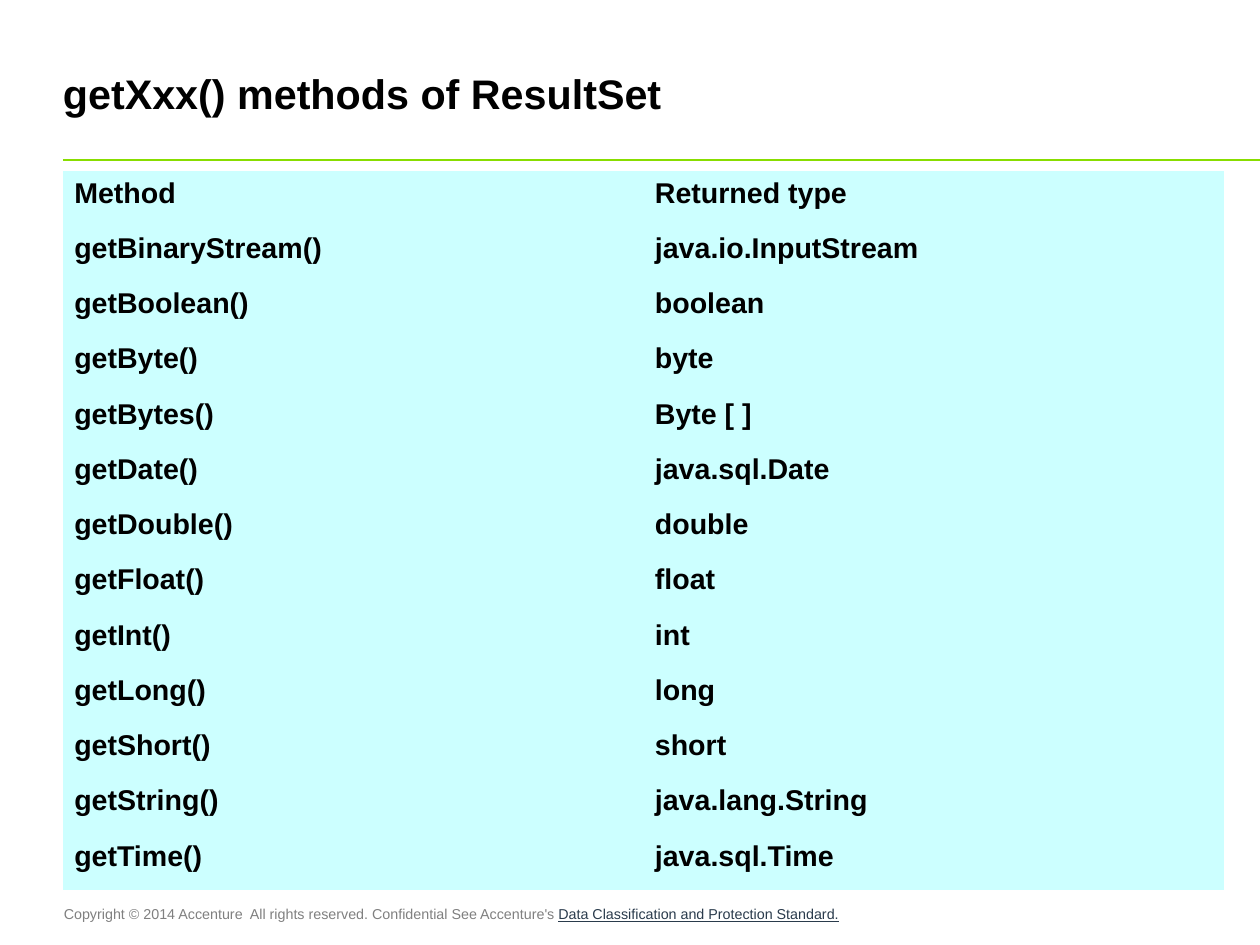
from lxml import etree
from pptx import Presentation
from pptx.dml.color import RGBColor
from pptx.enum.shapes import MSO_CONNECTOR
from pptx.enum.text import MSO_ANCHOR, PP_ALIGN
from pptx.oxml.ns import qn
from pptx.util import Cm, Inches, Pt

STRAIGHT = MSO_CONNECTOR.STRAIGHT
MIDDLE = MSO_ANCHOR.MIDDLE
LEFT = PP_ALIGN.LEFT
TITLE_ONLY = 5
FONT = "Arial"
NO_GRID_STYLE = "{2D5ABB26-0587-4C30-8999-92F81FD0307C}"
COLORS = {
    "text": "000000",
    "rule": "88DD00",
    "cell": "CCFFFF",
    "footer": "808080",
    "link": "2A3B4C",
}

SLIDE_WIDTH, SLIDE_HEIGHT = Cm(28), Cm(21)
MARGIN = 0.55
TITLE_BOX = (MARGIN, 0.33, 9.92, 0.97)
RULE_BOX = (MARGIN, 1.4, SLIDE_WIDTH.inches - MARGIN, 0)
TABLE_BOX = (MARGIN, 1.5, 10.16, 6.29)
FOOTER_BOX = (MARGIN - 0.09, 7.87, 10.06, 0.25)

METHODS = [
    ("Method", "Returned type"),
    ("getBinaryStream()", "java.io.InputStream"),
    ("getBoolean()", "boolean"),
    ("getByte()", "byte"),
    ("getBytes()", "Byte [ ]"),
    ("getDate()", "java.sql.Date"),
    ("getDouble()", "double"),
    ("getFloat()", "float"),
    ("getInt()", "int"),
    ("getLong()", "long"),
    ("getShort()", "short"),
    ("getString()", "java.lang.String"),
    ("getTime()", "java.sql.Time"),
]


def to_lengths(box):
    return [Inches(value) for value in box]


def format_font(font, size, color, bold=False):
    font.name = FONT
    font.size = Pt(size)
    font.bold = bold
    font.color.rgb = RGBColor.from_string(COLORS[color])


def place_title(slide, box, text):
    title = slide.shapes.title
    title.left, title.top, title.width, title.height = to_lengths(box)
    frame = title.text_frame
    frame.text = text
    frame.word_wrap = True
    frame.vertical_anchor = MIDDLE
    frame.margin_left = frame.margin_right = 0
    frame.margin_top = frame.margin_bottom = 0
    paragraph = frame.paragraphs[0]
    paragraph.alignment = LEFT
    format_font(paragraph.runs[0].font, 26, "text", bold=True)


def add_rule(slide, box):
    left, top, width, height = to_lengths(box)
    rule = slide.shapes.add_connector(STRAIGHT, left, top, left + width, top + height)
    rule.line.color.rgb = RGBColor.from_string(COLORS["rule"])
    rule.line.width = Pt(1)
    etree.SubElement(rule._element.spPr, qn("a:effectLst"))


def add_method_table(slide, box, rows):
    frame = slide.shapes.add_table(len(rows), len(rows[0]), *to_lengths(box))
    table = frame.table
    table.first_row = False
    table.horz_banding = False
    table._tbl.tblPr.find(qn("a:tableStyleId")).text = NO_GRID_STYLE
    for row_index, row in enumerate(rows):
        for column_index, text in enumerate(row):
            cell = table.cell(row_index, column_index)
            cell.fill.solid()
            cell.fill.fore_color.rgb = RGBColor.from_string(COLORS["cell"])
            cell.text_frame.text = text
            format_font(cell.text_frame.paragraphs[0].runs[0].font, 18, "text", bold=True)


def add_footer(slide, box, notice, standard):
    frame = slide.shapes.add_textbox(*to_lengths(box)).text_frame
    frame.word_wrap = True
    paragraph = frame.paragraphs[0]
    paragraph.text = notice
    format_font(paragraph.runs[0].font, 9, "footer")
    standard_run = paragraph.add_run()
    standard_run.text = standard
    format_font(standard_run.font, 9, "link")
    standard_run.font.underline = True


def main():
    presentation = Presentation()
    presentation.slide_width = SLIDE_WIDTH
    presentation.slide_height = SLIDE_HEIGHT
    slide = presentation.slides.add_slide(presentation.slide_layouts[TITLE_ONLY])
    add_rule(slide, RULE_BOX)
    add_footer(
        slide,
        FOOTER_BOX,
        "Copyright © 2014 Accenture  All rights reserved. Confidential See Accenture's ",
        "Data Classification and Protection Standard.",
    )
    place_title(slide, TITLE_BOX, "getXxx() methods of ResultSet")
    add_method_table(slide, TABLE_BOX, METHODS)
    presentation.save("out.pptx")


if __name__ == "__main__":
    main()
